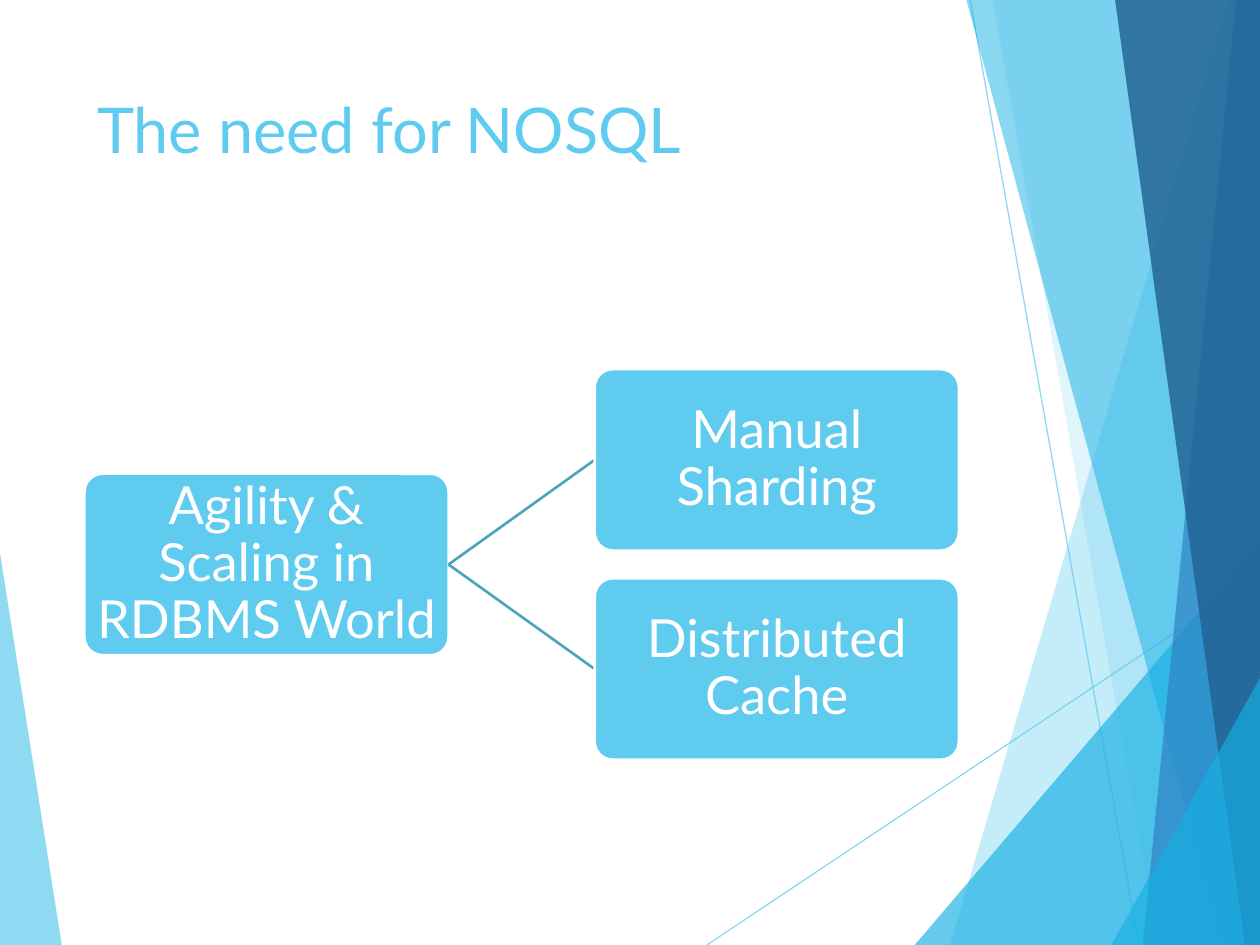
from lxml import etree
from pptx import Presentation
from pptx.dml.color import RGBColor
from pptx.enum.shapes import MSO_CONNECTOR, MSO_SHAPE
from pptx.enum.text import MSO_ANCHOR, MSO_AUTO_SIZE, PP_ALIGN
from pptx.oxml.ns import qn
from pptx.util import Inches, Pt

STRAIGHT = MSO_CONNECTOR.STRAIGHT
ROUNDED = MSO_SHAPE.ROUNDED_RECTANGLE
RIGHT_SIDE, LEFT_SIDE = 3, 1

FONT = "Lato"
SKY, BRIGHT, BLUE, NAVY = "5FCBEF", "17B0E4", "2E83C3", "226292"
WHITE, LINK = "FFFFFF", "4CA3BF"

# Content
TITLE = "The need for NOSQL"
ROOT = "Agility & Scaling in RDBMS World"
BRANCHES = ["Manual Sharding", "Distributed Cache"]

# Background: outline points, colour, opacity in percent
LEFT_FACET = ([(0, 4.39), (0.49, 7.5), (0, 7.5)], SKY, 70)
RIGHT_FACETS = [
    ([(9.75, 0), (7.54, 7.5), (10, 7.5), (10, 0)], SKY, 36),
    ([(7.88, 0), (9.19, 7.5), (10, 7.5), (10, 0)], SKY, 20),
    ([(7.26, 7.5), (10, 4.29), (10, 7.5)], BRIGHT, 66),
    ([(7.67, 0), (9.7, 7.5), (10, 7.5), (10, 0)], BRIGHT, 50),
    ([(9.81, 0), (9.07, 7.5), (10, 7.5), (10, 0)], BLUE, 70),
    ([(8.85, 0), (9.88, 7.5), (10, 7.5), (10, 0)], NAVY, 82),
    ([(8.82, 7.5), (10, 5.38), (10, 7.5)], BRIGHT, 66),
]
THIN_LINES = [((5.61, 7.5), (10, 4.57)), ((7.7, 0), (9.04, 7.5))]

# Diagram grid
BOX_WIDTH, BOX_HEIGHT = 2.89, 1.44
ROOT_LEFT, BRANCH_LEFT = 0.67, 4.72
CENTER_Y, BRANCH_STEP = 4.48, 1.66


def set_color(color_format, color, opacity=100):
    color_format.rgb = RGBColor.from_string(color)
    if opacity < 100:
        element = color_format._xFill.find(qn("a:srgbClr"))
        etree.SubElement(element, qn("a:alpha"), val=str(opacity * 1000))


def set_fill(fill, color, opacity=100):
    fill.solid()
    set_color(fill.fore_color, color)
    if opacity < 100:
        element = fill._xPr.find(qn("a:solidFill")).find(qn("a:srgbClr"))
        etree.SubElement(element, qn("a:alpha"), val=str(opacity * 1000))


def add_facet(slide, points, color, opacity):
    corners = [(Inches(x), Inches(y)) for x, y in points]
    builder = slide.shapes.build_freeform(*corners[0])
    builder.add_line_segments(corners[1:], close=True)
    shape = builder.convert_to_shape()
    shape.shadow.inherit = False
    set_fill(shape.fill, color, opacity)
    shape.line.fill.background()


def add_line(slide, start, end, color, width, opacity=100):
    ends = [Inches(value) for value in (*start, *end)]
    connector = slide.shapes.add_connector(STRAIGHT, *ends)
    set_fill(connector.line.fill, color, opacity)
    connector.line.width = Pt(width)
    etree.SubElement(connector._element.spPr, qn("a:effectLst"))
    return connector


def format_text(paragraph, size, color):
    for run in paragraph.runs:
        run.font.name = FONT
        run.font.size = Pt(size)
        set_color(run.font.color, color)


def add_box(slide, text, left, center_y):
    shape = slide.shapes.add_shape(
        ROUNDED, Inches(left), Inches(center_y - BOX_HEIGHT / 2),
        Inches(BOX_WIDTH), Inches(BOX_HEIGHT))
    shape.adjustments[0] = 0.1
    shape.shadow.inherit = False
    set_fill(shape.fill, SKY)
    set_fill(shape.line.fill, WHITE)
    shape.line.width = Pt(1.5)
    frame = shape.text_frame
    frame.word_wrap = True
    frame.vertical_anchor = MSO_ANCHOR.MIDDLE
    frame.margin_left = frame.margin_right = Inches(0.02)
    frame.margin_top = frame.margin_bottom = Inches(0.02)
    frame.text = text
    paragraph = frame.paragraphs[0]
    paragraph.alignment = PP_ALIGN.CENTER
    paragraph.line_spacing = 0.9
    format_text(paragraph, 30, WHITE)
    return shape


def add_title(slide):
    title = slide.shapes.title
    title.left, title.top = Inches(0.67), Inches(0.67)
    title.width, title.height = Inches(6.94), Inches(1.44)
    frame = title.text_frame
    frame.text = TITLE
    frame.word_wrap = True
    frame.auto_size = MSO_AUTO_SIZE.NONE
    frame.vertical_anchor = MSO_ANCHOR.TOP
    frame.paragraphs[0].alignment = PP_ALIGN.LEFT
    format_text(frame.paragraphs[0], 36, SKY)


def main():
    presentation = Presentation()
    presentation.slide_width = Inches(10)
    presentation.slide_height = Inches(7.5)
    slide = presentation.slides.add_slide(presentation.slide_layouts[5])

    # Background facets and thin lines
    add_facet(slide, *LEFT_FACET)
    for start, end in THIN_LINES:
        add_line(slide, start, end, SKY, 0.75, 70)
    for facet in RIGHT_FACETS:
        add_facet(slide, *facet)

    add_title(slide)

    # Root box and its branches, each link lying under its branch box
    root = add_box(slide, ROOT, ROOT_LEFT, CENTER_Y)
    first_y = CENTER_Y - BRANCH_STEP * (len(BRANCHES) - 1) / 2
    for index, text in enumerate(BRANCHES):
        branch_y = first_y + index * BRANCH_STEP
        link = add_line(slide, (ROOT_LEFT + BOX_WIDTH, CENTER_Y),
                        (BRANCH_LEFT, branch_y), LINK, 1.5)
        branch = add_box(slide, text, BRANCH_LEFT, branch_y)
        link.begin_connect(root, RIGHT_SIDE)
        link.end_connect(branch, LEFT_SIDE)

    presentation.save("out.pptx")


if __name__ == "__main__":
    main()
